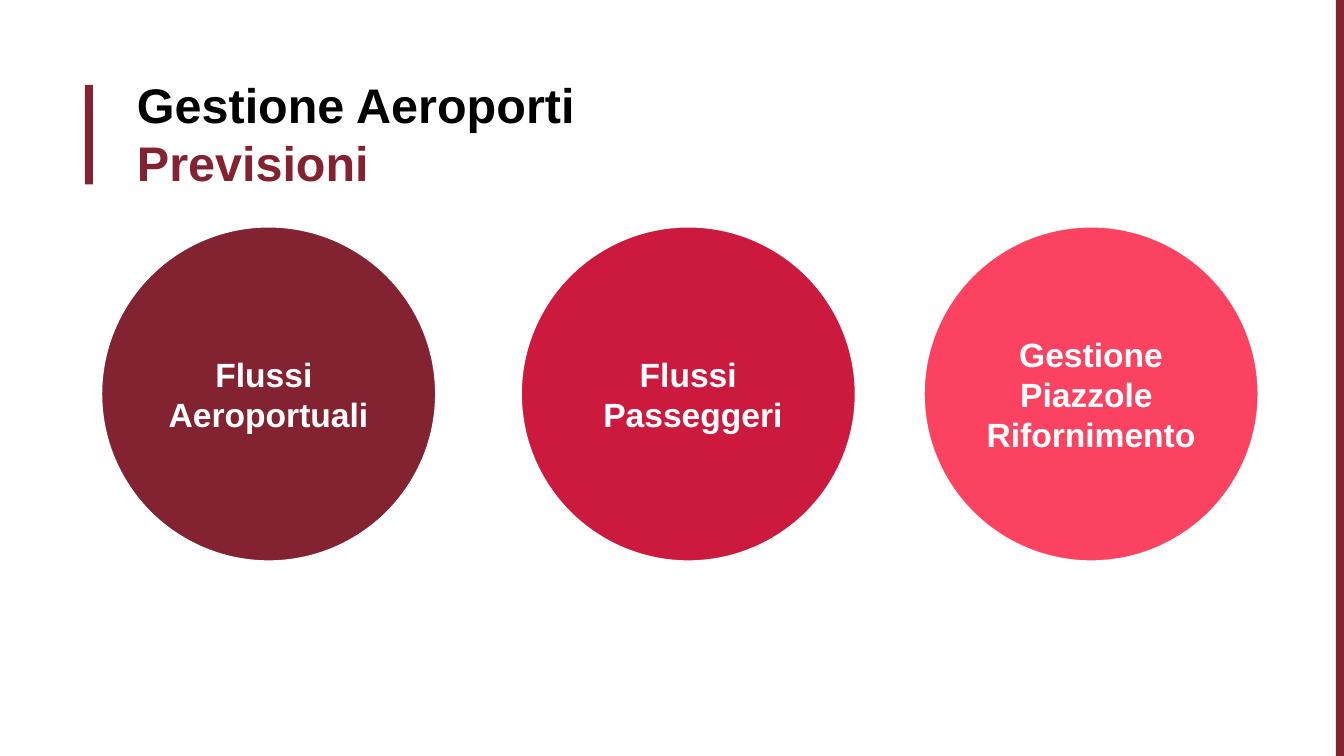
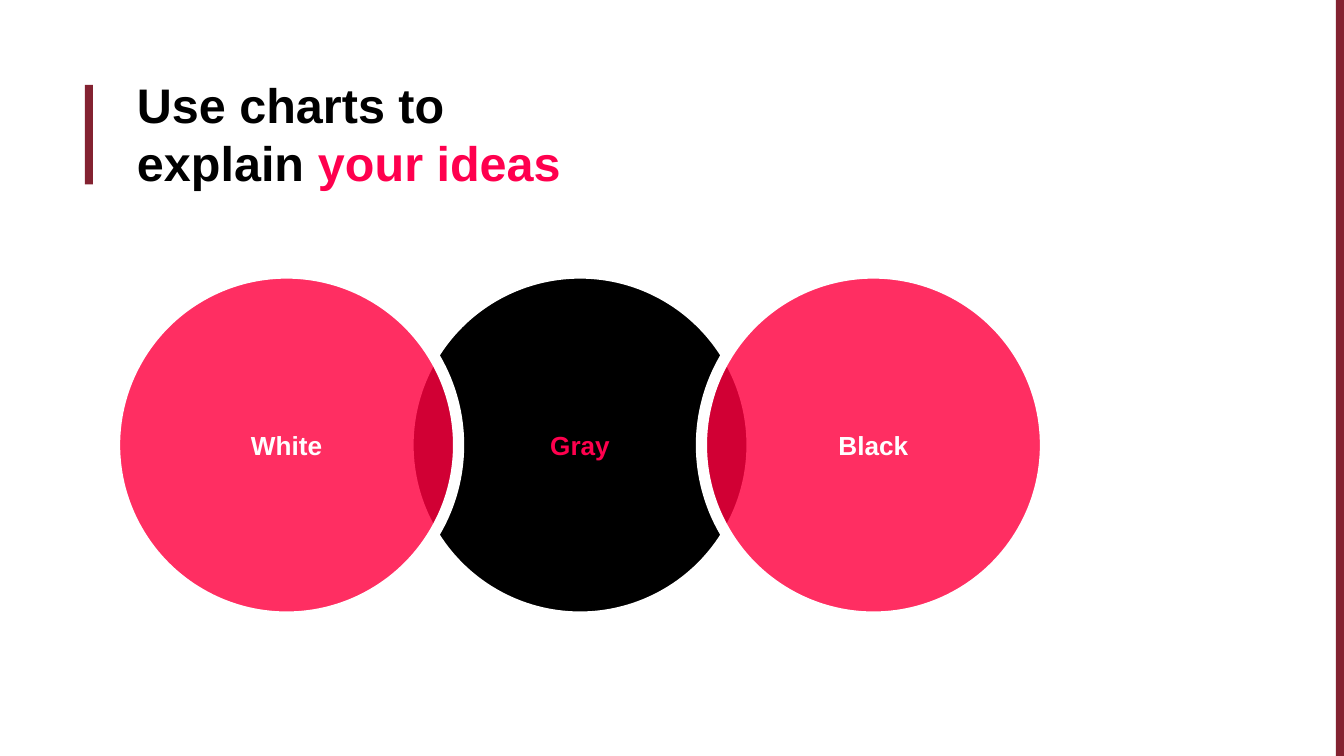
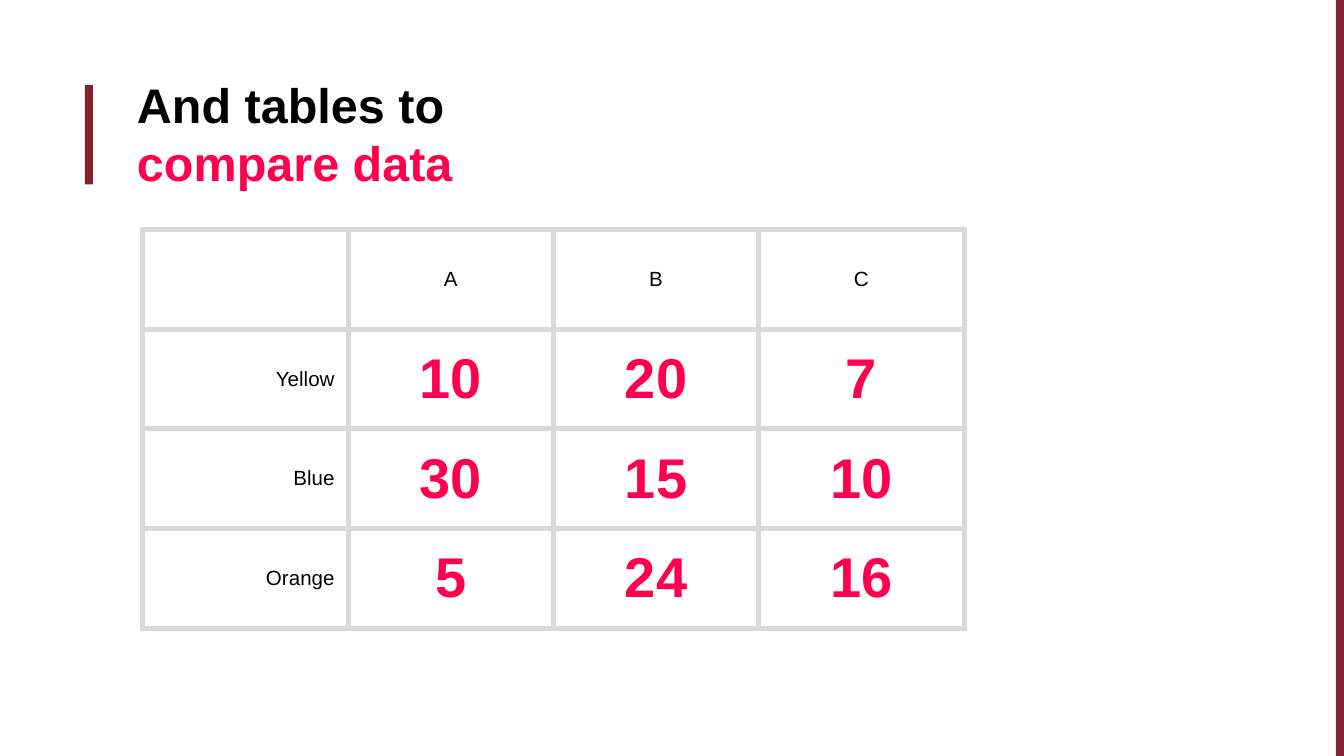
from dataclasses import dataclass

from lxml.etree import SubElement
from pptx import Presentation
from pptx.dml.color import RGBColor
from pptx.enum.shapes import MSO_SHAPE
from pptx.enum.text import MSO_ANCHOR, PP_ALIGN
from pptx.oxml.ns import qn
from pptx.util import Pt


@dataclass(frozen=True)
class Theme:
    font: str = "Arial"
    white: str = "FFFFFF"
    black: str = "000000"
    wine: str = "832231"
    crimson: str = "CC193E"
    coral: str = "FB4361"
    pink: str = "FF004E"
    red: str = "FF0040"
    grid: str = "D9D9D9"
    title_size: int = 26
    forecast_size: int = 18
    venn_size: int = 14
    label_size: int = 11
    value_size: int = 30


theme = Theme()
INSET = Pt(7.2)
DIAMETER = 184.3


def style_text(paragraph, size, colour, bold=True, align=PP_ALIGN.CENTER):
    paragraph.alignment = align
    font = paragraph.font
    font.name, font.size, font.bold = theme.font, Pt(size), bold
    font.color.rgb = RGBColor.from_string(colour)


def add_circle(slide, left, top, fill, text, size, colour):
    circle = slide.shapes.add_shape(
        MSO_SHAPE.OVAL, Pt(left), Pt(top), Pt(DIAMETER), Pt(DIAMETER))
    circle.shadow.inherit = False
    circle.fill.solid()
    circle.fill.fore_color.rgb = RGBColor.from_string(fill)
    circle.line.color.rgb = RGBColor.from_string(theme.white)
    circle.line.width = Pt(6)
    frame = circle.text_frame
    frame.margin_left = frame.margin_right = INSET
    frame.margin_top = frame.margin_bottom = INSET
    frame.vertical_anchor = MSO_ANCHOR.MIDDLE
    frame.text = text
    for paragraph in frame.paragraphs:
        style_text(paragraph, size, colour)
    return circle


prs = Presentation()
prs.slide_width, prs.slide_height = Pt(720), Pt(405)

# Shared bands and two-colour titles
titles = [
    ("Gestione Aeroporti\v", "Previsioni", theme.wine),
    ("Use charts to explain ", "your ideas", theme.pink),
    ("And tables to ", "compare data", theme.pink),
]
bands = [(45.5, 45.5, 4.3, 53.3), (715.7, 0, 4.3, 405)]
slides = []
for lead, accent, accent_colour in titles:
    slide = prs.slides.add_slide(prs.slide_layouts[6])
    slides.append(slide)
    for box in bands:
        band = slide.shapes.add_shape(MSO_SHAPE.RECTANGLE, *map(Pt, box))
        band.shadow.inherit = False
        band.fill.solid()
        band.fill.fore_color.rgb = RGBColor.from_string(theme.wine)
        band.line.fill.background()

    title = slide.shapes.add_textbox(Pt(66.3), Pt(33.1), Pt(254.2), Pt(67.7)).text_frame
    title.word_wrap = True
    title.margin_left = title.margin_right = INSET
    title.margin_top = title.margin_bottom = INSET
    heading = title.paragraphs[0]
    heading.text = lead
    style_text(heading, theme.title_size, theme.black, align=PP_ALIGN.LEFT)
    accent_run = heading.add_run()
    accent_run.text = accent
    accent_run.font.color.rgb = RGBColor.from_string(accent_colour)

forecast_slide, venn_slide, table_slide = slides

# Forecast areas
forecasts = [
    (276.6, theme.crimson, "Flussi\n Passeggeri"),
    (51.8, theme.wine, "Flussi \nAeroportuali"),
    (492.4, theme.coral, "Gestione\vPiazzole \nRifornimento"),
]
for left, fill, text in forecasts:
    add_circle(forecast_slide, left, 118.9, fill, text, theme.forecast_size, theme.white)

# Overlapping circles: the middle one lies behind its translucent neighbours
venn_left, venn_step, venn_top = 61.4, 157.2, 146.3
add_circle(venn_slide, venn_left + venn_step, venn_top, theme.black,
           "Gray", theme.venn_size, theme.pink)
for position, text in ((0, "White"), (2, "Black")):
    circle = add_circle(venn_slide, venn_left + position * venn_step, venn_top,
                        theme.red, text, theme.venn_size, theme.white)
    fill_colour = circle.fill._xPr.find(qn("a:solidFill"))[0]
    SubElement(fill_colour, qn("a:alpha"), val="82000")

# Comparison table
comparison = [
    ("", "A", "B", "C"),
    ("Yellow", "10", "20", "7"),
    ("Blue", "30", "15", "10"),
    ("Orange", "5", "24", "16"),
]
table = table_slide.shapes.add_table(
    4, 4, Pt(76.5), Pt(123), Pt(440), Pt(213.6)).table
table.first_row = table.horz_banding = False
for column in table.columns:
    column.width = Pt(110)
for row in table.rows:
    row.height = Pt(53.4)

for r, row_values in enumerate(comparison):
    for c, value in enumerate(row_values):
        cell = table.cell(r, c)
        cell.vertical_anchor = MSO_ANCHOR.MIDDLE
        cell.margin_left = cell.margin_right = INSET
        cell.margin_top = cell.margin_bottom = Pt(5)
        cell.text = value
        is_value = r > 0 and c > 0
        style_text(cell.text_frame.paragraphs[0],
                   theme.value_size if is_value else theme.label_size,
                   theme.pink if is_value else theme.black,
                   bold=is_value,
                   align=PP_ALIGN.CENTER if c else PP_ALIGN.RIGHT)
        # Borders come before the fill in the cell properties
        properties = cell._tc.get_or_add_tcPr()
        for side in ("a:lnL", "a:lnR", "a:lnT", "a:lnB"):
            border = SubElement(properties, qn(side), w=str(Pt(3)))
            border_fill = SubElement(border, qn("a:solidFill"))
            SubElement(border_fill, qn("a:srgbClr"), val=theme.grid)
        cell.fill.background()

prs.save("out.pptx")
